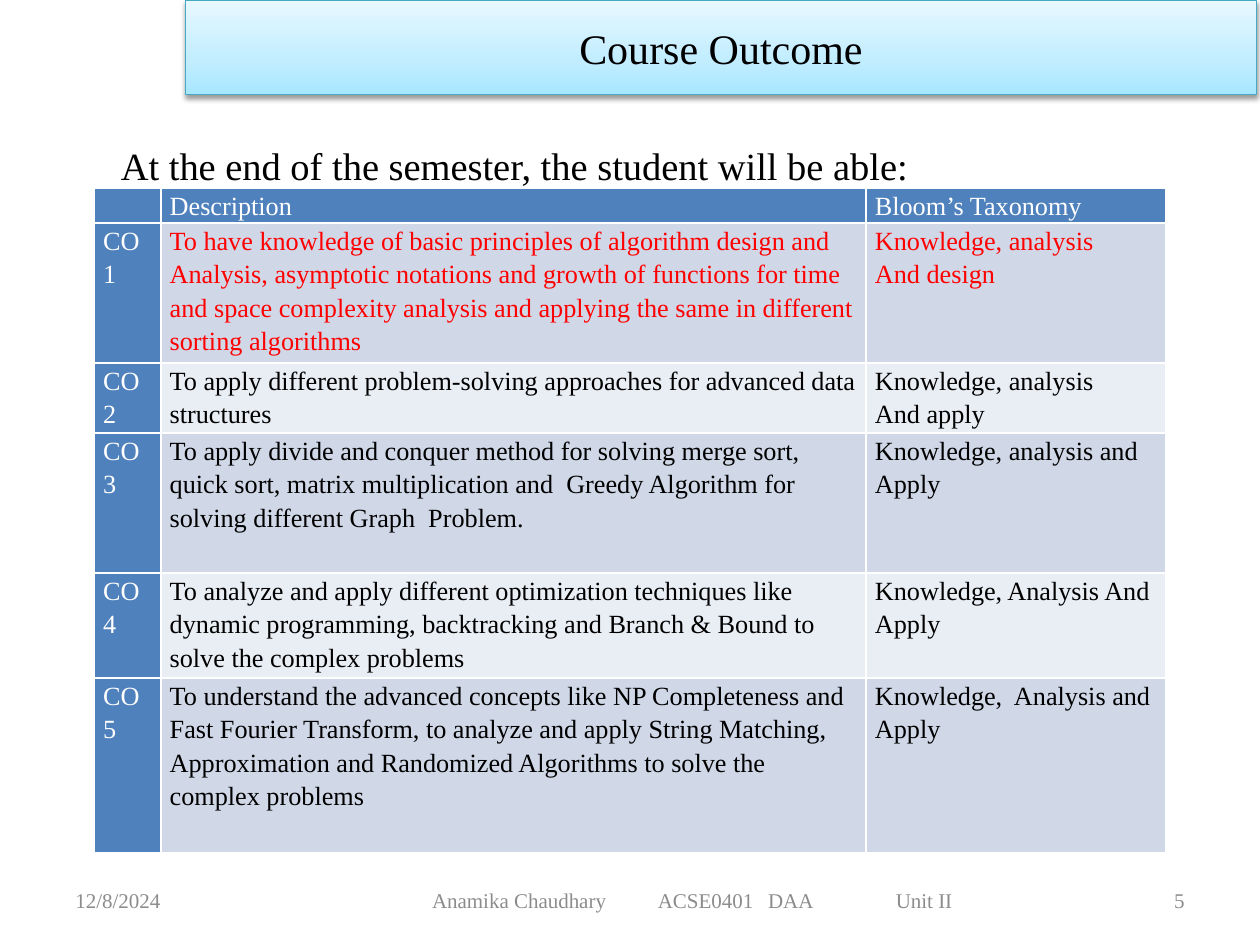
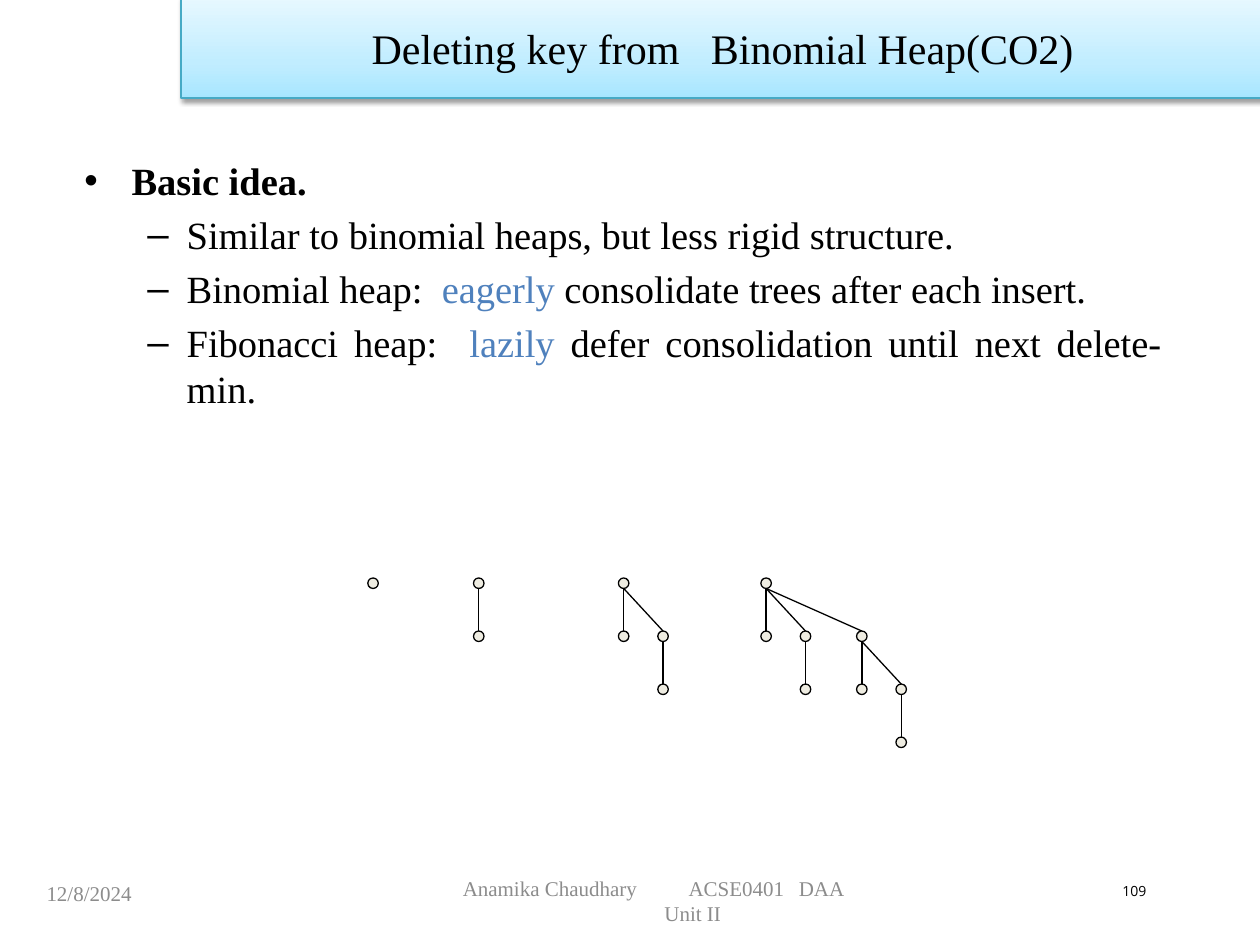
"""Build two lecture slides: a course outcome table and binomial heap trees."""
import lxml.etree
import pptx
import pptx.dml.color
import pptx.enum.shapes
import pptx.enum.text
import pptx.oxml
import pptx.oxml.ns
import pptx.util

Pt = pptx.util.Pt
RGB = pptx.dml.color.RGBColor
ALIGN = pptx.enum.text.PP_ALIGN
MIDDLE = pptx.enum.text.MSO_ANCHOR.MIDDLE
qn = pptx.oxml.ns.qn

BLACK = RGB(0, 0, 0)
WHITE = RGB(255, 255, 255)
RED = RGB(255, 0, 0)
GREY = RGB(0x8C, 0x8C, 0x8C)
BLUE = RGB(0x4F, 0x81, 0xBD)
PALE = RGB(0xD0, 0xD8, 0xE8)
LIGHT = RGB(0xE9, 0xED, 0xF4)
CREAM = RGB(0xEE, 0xEC, 0xE1)
EDGE = RGB(0x46, 0xAA, 0xC5)
STOPS = [(0, RGB(0xA7, 0xE6, 0xFF)), (35, RGB(0xC1, 0xED, 0xFF)), (100, RGB(0xE7, 0xF8, 0xFF))]

DATE = "12/8/2024"
AUTHOR = "Anamika Chaudhary\tACSE0401\tDAA"
UNIT = "Unit II"
TABS = (129, 192, 265)

INTRO = "At the end of the semester, the student will be able:"
HEADS = ["", "Description", "Bloom’s Taxonomy"]
GOALS = [
    ("CO1", "To have knowledge of basic principles of algorithm design and Analysis, "
     "asymptotic notations and growth of functions for time and space complexity analysis "
     "and applying the same in different sorting algorithms",
     "Knowledge, analysis\nAnd design"),
    ("CO2", "To apply different problem-solving approaches for advanced data structures",
     "Knowledge, analysis\nAnd apply"),
    ("CO3", "To apply divide and conquer method for solving merge sort, quick sort, matrix "
     "multiplication and  Greedy Algorithm for solving different Graph  Problem.",
     "Knowledge, analysis and Apply"),
    ("CO4", "To analyze and apply different optimization techniques like dynamic programming, "
     "backtracking and Branch & Bound to solve the complex problems",
     "Knowledge, Analysis And Apply"),
    ("CO5", "To understand the advanced concepts like NP Completeness and Fast Fourier Transform, "
     "to analyze and apply String Matching, Approximation and Randomized Algorithms to solve the "
     "complex problems",
     "Knowledge,  Analysis and Apply"),
]
COLS = (38, 403, 171)
ROWS = (20, 80, 40, 80, 60, 100)

IDEA = "Basic idea."
POINTS = [
    [("Similar to binomial heaps, but less rigid structure.", BLACK)],
    [("Binomial heap:  ", BLACK), ("eagerly", BLUE),
     (" consolidate trees after each insert.", BLACK)],
    [("Fibonacci heap:  ", BLACK), ("lazily", BLUE),
     (" defer consolidation until next delete-min.", BLACK)],
]
ROOTS = (213.2, 273.6, 356.4, 437.8)
TOP = 333.3
STEP = 30.3
SHIFTS = (0, 22.5, 54.7)
DOT = 6


def text(frame, words, size=12, color=BLACK, font="Times New Roman", bold=False,
         align=None, level=0, line=None, before=None, after=None, tabs=()):
    """Write one paragraph of plain words or of (words, colour) pairs."""
    para = frame.paragraphs[-1]
    if para.runs:
        para = frame.add_paragraph()
    para.level = level
    if align is not None:
        para.alignment = align
    if line:
        para.line_spacing = line
    if before is not None:
        para.space_before = Pt(before)
    if after is not None:
        para.space_after = Pt(after)
    if tabs:
        stops = lxml.etree.SubElement(para._p.get_or_add_pPr(), qn("a:tabLst"))
        for pos in tabs:
            lxml.etree.SubElement(stops, qn("a:tab"), pos=str(Pt(pos)), algn="l")
    for part, tint in ([(words, color)] if isinstance(words, str) else words):
        if part:
            run = para.add_run()
            run.text = part
            run.font.size = Pt(size)
            run.font.name = font
            run.font.bold = bold
            run.font.color.rgb = tint
    para._p.get_or_add_endParaRPr().set("sz", str(size * 100))


def place(shape, left, top, width, height):
    """Set the box of a shape in points."""
    shape.left, shape.top, shape.width, shape.height = map(Pt, (left, top, width, height))


def frame(slide, left, top, width, height, anchor=MIDDLE):
    """Add a wrapping text box and return its frame."""
    box = slide.shapes.add_textbox(Pt(left), Pt(top), Pt(width), Pt(height)).text_frame
    box.word_wrap = True
    box.vertical_anchor = anchor
    return box


def band(slide, words, *area):
    """Turn the title into a shaded gradient band."""
    title = slide.shapes.title
    place(title, *area)
    props = title._element.spPr
    space = 'xmlns:a="http://schemas.openxmlformats.org/drawingml/2006/main"'
    stops = "".join(f'<a:gs pos="{pos * 1000}"><a:srgbClr val="{tint}"/></a:gs>'
                    for pos, tint in STOPS)
    props.append(pptx.oxml.parse_xml(
        f'<a:gradFill {space} rotWithShape="1"><a:gsLst>{stops}</a:gsLst>'
        '<a:lin ang="16200000" scaled="0"/></a:gradFill>'))
    title.line.color.rgb = EDGE
    title.line.width = Pt(0.75)
    props.append(pptx.oxml.parse_xml(
        f'<a:effectLst {space}><a:outerShdw blurRad="{Pt(3.1)}" dist="{Pt(1.6)}" '
        'dir="5400000" rotWithShape="0"><a:srgbClr val="000000"><a:alpha val="38000"/>'
        '</a:srgbClr></a:outerShdw></a:effectLst>'))
    title.text_frame.auto_size = pptx.enum.text.MSO_AUTO_SIZE.NONE
    title.text_frame.vertical_anchor = MIDDLE
    text(title.text_frame, words, size=24, align=ALIGN.CENTER)


def grid(slide):
    """Add the table of course outcomes."""
    table = slide.shapes.add_table(len(ROWS), len(COLS), Pt(54), Pt(107.5),
                                   Pt(sum(COLS)), Pt(sum(ROWS))).table
    for col, width in zip(table.columns, COLS):
        col.width = Pt(width)
    for row, height in zip(table.rows, ROWS):
        row.height = Pt(height)
    for i, row in enumerate([HEADS] + GOALS):
        for j, words in enumerate(row):
            cell = table.cell(i, j)
            cell.margin_left = cell.margin_right = Pt(5)
            cell.margin_top = cell.margin_bottom = 0
            head = i == 0 or j == 0
            cell.fill.solid()
            cell.fill.fore_color.rgb = BLUE if head else PALE if i % 2 else LIGHT
            tint = WHITE if head else RED if i == 1 else BLACK
            for part in words.split("\n"):
                text(cell.text_frame, part, size=15, color=tint, line=1.15)


def edge(slide, *ends):
    """Draw a thin black line."""
    line = slide.shapes.add_connector(pptx.enum.shapes.MSO_CONNECTOR.STRAIGHT, *map(Pt, ends))
    line.line.color.rgb = BLACK
    line.line.width = Pt(0.75)
    lxml.etree.SubElement(line._element.spPr, qn("a:effectLst"))


def tree(slide, rank, x, y):
    """Draw a binomial tree of the given rank with its root at x, y."""
    half = DOT / 2
    node = slide.shapes.add_shape(pptx.enum.shapes.MSO_SHAPE.OVAL, Pt(x - half), Pt(y - half),
                                  Pt(DOT), Pt(DOT))
    node.shadow.inherit = False
    node.fill.solid()
    node.fill.fore_color.rgb = CREAM
    node.line.color.rgb = BLACK
    node.line.width = Pt(0.75)
    for child, shift in enumerate(SHIFTS[:rank]):
        edge(slide, x, y + half, x + shift, y + STEP - half)
        tree(slide, child, x + shift, y + STEP)


def goals(deck):
    """Build the course outcome slide."""
    slide = deck.slides.add_slide(deck.slide_layouts[5])
    grid(slide)
    text(frame(slide, 36, 500, 168, 29), DATE, color=GREY)
    text(frame(slide, 239.8, 500, 354, 29), f"{AUTHOR}\t{UNIT}", color=GREY, tabs=TABS)
    text(frame(slide, 516, 500, 168, 29), "5", color=GREY, align=ALIGN.RIGHT)
    band(slide, "Course Outcome", 106, 0, 612, 54)
    intro = frame(slide, 62, 73.5, 612, 36, anchor=pptx.enum.text.MSO_ANCHOR.TOP)
    text(intro, INTRO, size=22, line=1.15, after=10)


def heaps(deck):
    """Build the binomial heap slide."""
    slide = deck.slides.add_slide(deck.slide_layouts[1])
    body = slide.placeholders[1]
    place(body, 41, 86.4, 630, 351)
    body.text_frame.auto_size = pptx.enum.text.MSO_AUTO_SIZE.NONE
    text(body.text_frame, IDEA, size=22, bold=True, align=ALIGN.JUSTIFY, before=0)
    for point in POINTS:
        text(body.text_frame, point, size=22, align=ALIGN.JUSTIFY, level=1)
    for rank, x in enumerate(ROOTS):
        tree(slide, rank, x, TOP)
    band(slide, "Deleting key from   Binomial Heap(CO2)", 103.5, -1.5, 619, 57.5)
    text(frame(slide, 19.5, 496, 168, 29), DATE, color=GREY)
    foot = frame(slide, 257.4, 500, 277, 29)
    text(foot, AUTHOR, color=GREY, tabs=TABS)
    text(foot, UNIT, color=GREY, align=ALIGN.CENTER)
    text(frame(slide, 634.3, 494.6, 36, 29), "109", size=8, font="Open Sans")


def main():
    """Build and save the deck."""
    deck = pptx.Presentation()
    deck.slide_width, deck.slide_height = Pt(720), Pt(540)
    goals(deck)
    heaps(deck)
    deck.save("out.pptx")


if __name__ == "__main__":
    main()
